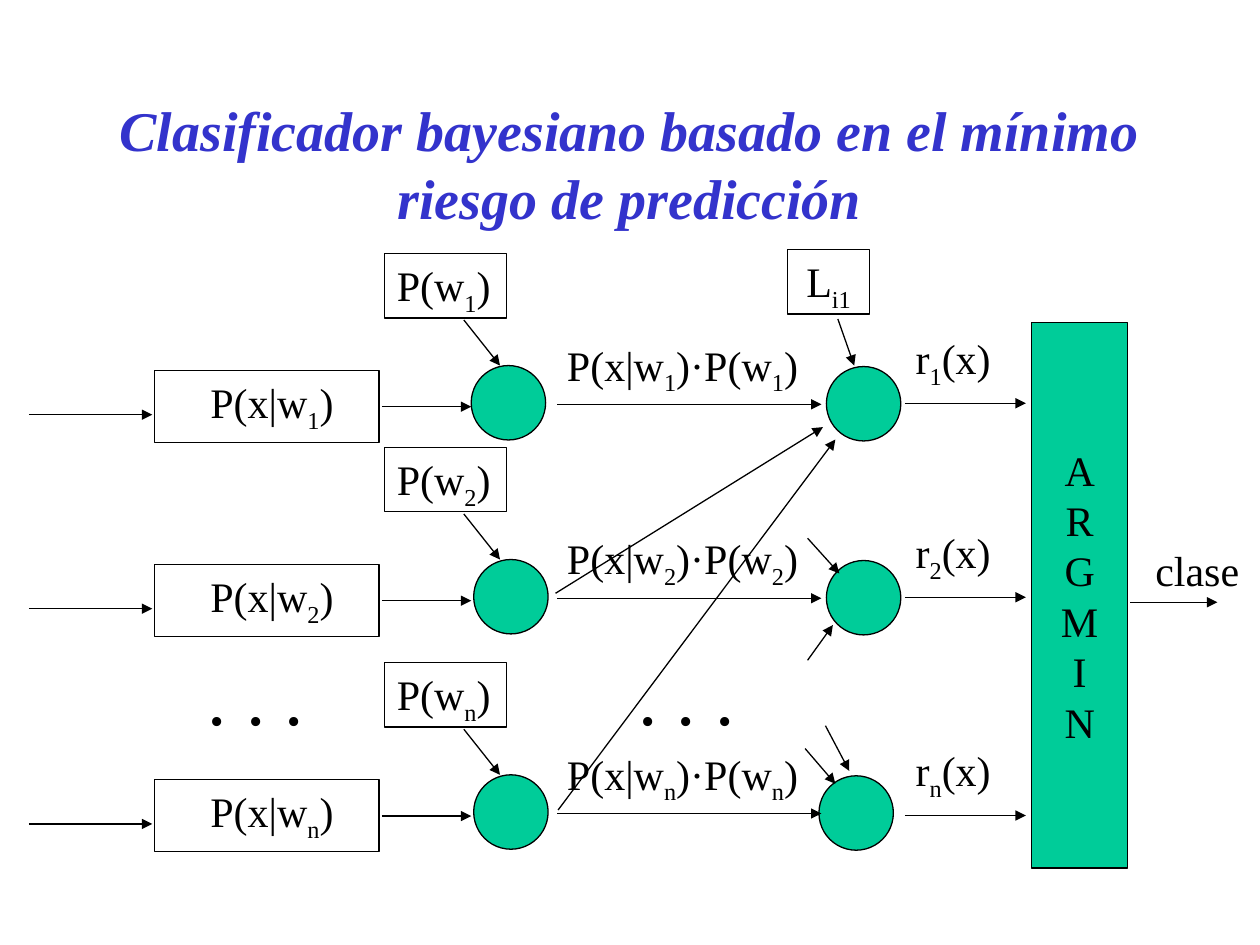
import pptx
import pptx.util
import pptx.dml.color
import pptx.enum.shapes
import pptx.enum.text
import pptx.oxml.ns
import lxml.etree

Cm = pptx.util.Cm
Pt = pptx.util.Pt
ALIGN = pptx.enum.text.PP_ALIGN
ANCHOR = pptx.enum.text.MSO_ANCHOR
AUTO_SIZE = pptx.enum.text.MSO_AUTO_SIZE
SHAPES = pptx.enum.shapes.MSO_SHAPE

BLACK = pptx.dml.color.RGBColor(0x00, 0x00, 0x00)
BLUE = pptx.dml.color.RGBColor(0x33, 0x33, 0xCC)
GREEN = pptx.dml.color.RGBColor(0x00, 0xCC, 0x99)
FONT = "Times New Roman"
LINE_WIDTH = Pt(0.75)
DIAMETER = 1.5

# Content; subscripts stand between tildes, lengths are in centimetres
TITLE = "Clasificador bayesiano basado en el mínimo riesgo de predicción"
# Subscript, drop of the row, drop of its output, left of each node
ROWS = [
    ("1", 0, 0, 9.5, 16.66),
    ("2", 3.91, 3.91, 9.55, 16.66),
    ("n", 8.25, 8.31, 9.55, 16.51),
]
ROW_ARROWS = [
    (0.58, 8.36, 3.07, 8.36),
    (9.35, 6.45, 10.08, 7.37),
    (7.7, 8.2, 9.5, 8.2),
    (11.23, 8.15, 16.56, 8.15),
]
OUTPUT_ARROW = (18.24, 8.13, 20.68, 8.13)
OTHER_ARROWS = [
    # Products that also feed the first risk node
    (11.2, 11.96, 16.59, 8.61),
    (11.25, 16.33, 16.84, 8.86),
    # Loss weight and partial inputs of the risk nodes
    (16.89, 6.43, 17.22, 7.37),
    (16.28, 10.85, 16.92, 11.56),
    (16.28, 13.31, 16.79, 12.6),
    (16.23, 15.09, 16.84, 15.8),
    (16.64, 14.63, 17.12, 15.54),
    # Resulting class
    (22.78, 12.14, 24.54, 12.14),
]


def add_text(text, shape=None, at=None, size=24, color=BLACK, bold=False,
             align=ALIGN.LEFT, anchor=ANCHOR.TOP, wrap=False, grow=True):
    if shape is None:
        shape = slide.shapes.add_textbox(*map(Cm, at))
    frame = shape.text_frame
    frame.word_wrap = wrap
    frame.vertical_anchor = anchor
    frame.auto_size = AUTO_SIZE.SHAPE_TO_FIT_TEXT if grow else AUTO_SIZE.NONE
    for index, line in enumerate(text.split("\n")):
        paragraph = frame.add_paragraph() if index else frame.paragraphs[0]
        paragraph.alignment = align
        for part, piece in enumerate(line.split("~")):
            run = paragraph.add_run()
            run.text = piece
            run.font.name = FONT
            run.font.size = Pt(size)
            run.font.color.rgb = color
            run.font.bold = run.font.italic = bold
            if part % 2:
                run.font._element.set("baseline", "-25000")


def add_shape(kind, left, top, width, height, fill=None):
    shape = slide.shapes.add_shape(kind, Cm(left), Cm(top), Cm(width), Cm(height))
    shape.shadow.inherit = False
    if fill is None:
        shape.fill.background()
    else:
        shape.fill.solid()
        shape.fill.fore_color.rgb = fill
    shape.line.color.rgb = BLACK
    shape.line.width = LINE_WIDTH
    return shape


def add_arrow(x1, y1, x2, y2, drop=0):
    arrow = slide.shapes.add_connector(
        pptx.enum.shapes.MSO_CONNECTOR.STRAIGHT,
        Cm(x1), Cm(y1 + drop), Cm(x2), Cm(y2 + drop))
    arrow.line.color.rgb = BLACK
    arrow.line.width = LINE_WIDTH
    qn = pptx.oxml.ns.qn
    lxml.etree.SubElement(arrow.line._get_or_add_ln(), qn("a:tailEnd"), type="triangle")
    lxml.etree.SubElement(arrow._element.spPr, qn("a:effectLst"))


presentation = pptx.Presentation()
presentation.slide_width = Cm(25.4)
presentation.slide_height = Cm(19.05)
slide = presentation.slides.add_slide(presentation.slide_layouts[6])

# Title
add_text(TITLE, at=(1.9, 1.7, 21.59, 3.18), size=32, color=BLUE, bold=True,
         align=ALIGN.CENTER, anchor=ANCHOR.MIDDLE, wrap=True, grow=False)

# One row per class: likelihood, prior, product, risk
for sub, drop, output_drop, product_left, risk_left in ROWS:
    add_shape(SHAPES.RECTANGLE, 3.12, 7.47 + drop, 4.52, 1.45)
    add_text(f"P(x|w~{sub}~)", at=(3.99, 7.47 + drop, 3.02, 1.27))
    prior = add_shape(SHAPES.RECTANGLE, 7.75, 5.11 + drop, 2.46, 1.3)
    add_text(f"P(w~{sub}~)", shape=prior)
    add_shape(SHAPES.OVAL, product_left, 7.37 + drop, DIAMETER, DIAMETER, GREEN)
    add_text(f"P(x|w~{sub}~)·P(w~{sub}~)", at=(11.18, 6.71 + drop, 5.18, 1.27))
    add_shape(SHAPES.OVAL, risk_left, 7.39 + drop, DIAMETER, DIAMETER, GREEN)
    add_text(f"r~{sub}~(x)", at=(18.01, 6.58 + output_drop, 2.41, 1.27),
             align=ALIGN.CENTER, wrap=True)
    for arrow in ROW_ARROWS:
        add_arrow(*arrow, drop=drop)
    add_arrow(*OUTPUT_ARROW, drop=output_drop)

# Loss weight
loss = add_shape(SHAPES.RECTANGLE, 15.88, 5.03, 1.65, 1.3)
add_text("L~i1~", shape=loss, align=ALIGN.CENTER, wrap=True)

# Decision block and its result
decision = add_shape(SHAPES.RECTANGLE, 20.8, 6.5, 1.93, 11, GREEN)
add_text("\n".join("ARGMIN"), shape=decision, align=ALIGN.CENTER,
         anchor=ANCHOR.MIDDLE, grow=False)
add_text("clase", at=(23.04, 10.85, 2.21, 1.27))

# Rows left out
for left in (3.94, 12.62):
    add_text(". . .", at=(left, 12.95, 2.46, 2.11), size=44)

for arrow in OTHER_ARROWS:
    add_arrow(*arrow)

presentation.save("out.pptx")
